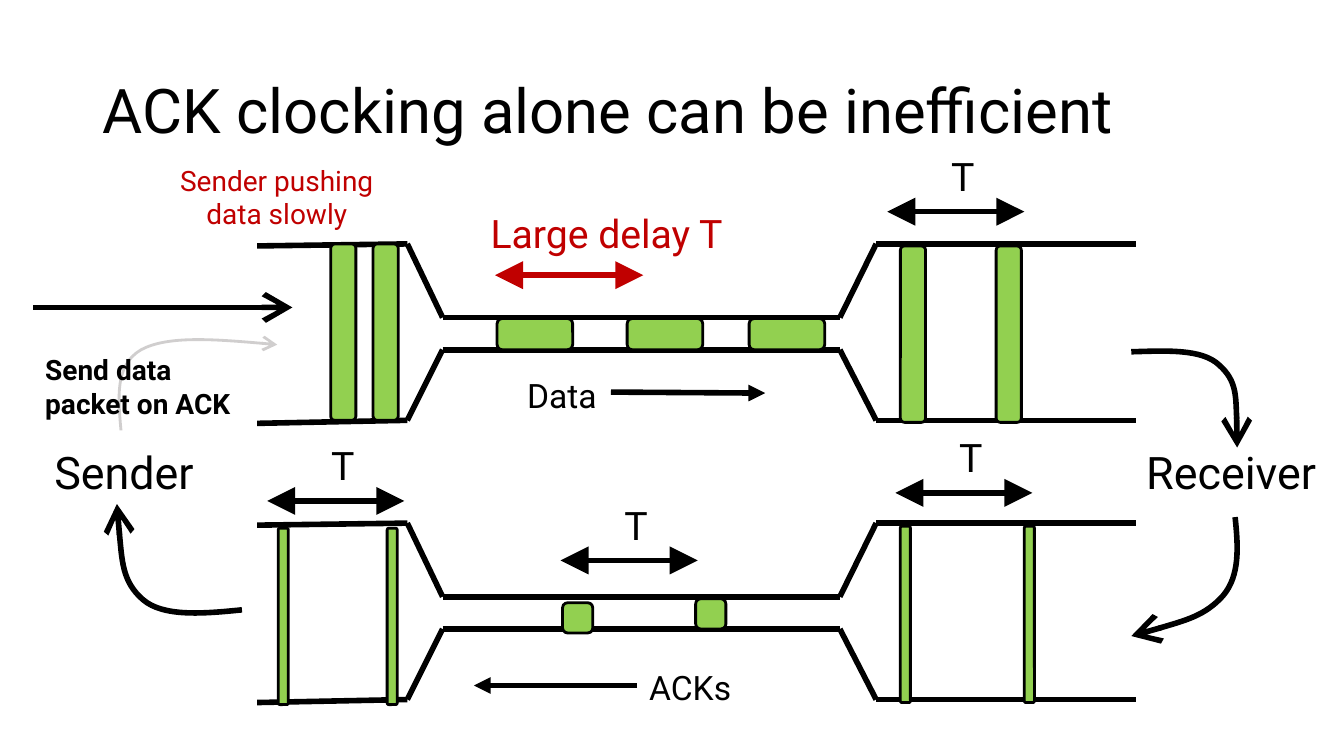
from dataclasses import dataclass

from lxml.etree import SubElement
from pptx import Presentation
from pptx.dml.color import RGBColor
from pptx.enum.shapes import MSO_CONNECTOR, MSO_SHAPE
from pptx.enum.text import MSO_ANCHOR, MSO_AUTO_SIZE, PP_ALIGN
from pptx.oxml.ns import qn
from pptx.util import Inches, Pt


@dataclass(frozen=True)
class Theme:
    font: str = "Roboto"
    ink: str = "000000"
    red: str = "C00000"
    green: str = "92D050"
    gray: str = "D0CECE"
    title: int = 44
    host: int = 32
    mark: int = 28
    flow: int = 24
    note: int = 20
    thick: int = 4
    thin: int = 2


def put(item, values):
    for name, value in values.items():
        setattr(item, name, value)


class Board:
    """Draws on one slide; lengths are cells of a grid 133.3 wide, 75 high."""

    def __init__(self, deck, theme):
        self.theme = theme
        self.slide = deck.slides.add_slide(deck.slide_layouts[5])
        self.shapes = self.slide.shapes
        self.cell = deck.slide_height / 75

    def grid(self, *cells):
        return [round(c * self.cell) for c in cells]

    def letter(self, shape, words, size, color=None, bold=False,
               align=PP_ALIGN.LEFT, anchor=MSO_ANCHOR.TOP, space=1.0):
        frame = shape.text_frame
        frame.text = words
        put(frame, {"word_wrap": True, "vertical_anchor": anchor,
                    "auto_size": MSO_AUTO_SIZE.NONE})
        line = frame.paragraphs[0]
        put(line, {"alignment": align, "line_spacing": space})
        font = line.runs[0].font
        put(font, {"name": self.theme.font, "size": Pt(size), "bold": bold})
        font.color.rgb = RGBColor.from_string(color or self.theme.ink)

    def title(self, words, box):
        shape = self.shapes.title
        put(shape, dict(zip(("left", "top", "width", "height"), self.grid(*box))))
        self.letter(shape, words, self.theme.title,
                    anchor=MSO_ANCHOR.MIDDLE, space=0.9)

    def text(self, words, box, size, **style):
        self.letter(self.shapes.add_textbox(*self.grid(*box)), words, size, **style)

    def stroke(self, shape, color=None, width=None, head=None, tail=None, big="lg"):
        line = shape.line
        line.color.rgb = RGBColor.from_string(color or self.theme.ink)
        line.width = Pt(width or self.theme.thick)
        props = shape._element.spPr
        for tag, kind in (("a:headEnd", head), ("a:tailEnd", tail)):
            if kind:
                SubElement(props.find(qn("a:ln")), qn(tag), type=kind, w=big, len=big)

    def line(self, ends, **style):
        shape = self.shapes.add_connector(MSO_CONNECTOR.STRAIGHT, *self.grid(*ends))
        self.stroke(shape, **style)
        SubElement(shape._element.spPr, qn("a:effectLst"))

    def block(self, box):
        shape = self.shapes.add_shape(MSO_SHAPE.ROUNDED_RECTANGLE, *self.grid(*box))
        shape.shadow.inherit = False
        shape.fill.solid()
        shape.fill.fore_color.rgb = RGBColor.from_string(self.theme.green)
        self.stroke(shape, width=self.theme.thin)

    def curve(self, points, **style):
        start, *rest = [self.grid(*p) for p in points]
        pen = self.shapes.build_freeform(*start)
        pen.add_line_segments(rest, close=False)
        shape = pen.convert_to_shape()
        shape.shadow.inherit = False
        shape.fill.background()
        # Each three straight steps become one Bezier step
        steps = shape._element.xpath(".//a:lnTo")
        for i in range(0, len(steps), 3):
            bend = SubElement(steps[i].getparent(), qn("a:cubicBezTo"))
            for step in steps[i:i + 3]:
                bend.append(step[0])
                step.getparent().remove(step)
        self.stroke(shape, tail="arrow", **style)

    def pipe(self, down):
        for x1, y1, x2, y2 in (
                (40.4, 24.2, 43.9, 31.5), (40.4, 41.7, 43.9, 34.7),
                (86.9, 24.2, 83.3, 31.5), (86.9, 41.7, 83.3, 34.7),
                (43.9, 31.5, 83.3, 31.5), (43.9, 34.7, 83.3, 34.7),
                (86.9, 24.2, 112.7, 24.2), (86.9, 41.7, 112.7, 41.7),
                (25.5, 24.4, 40.4, 24.2), (25.5, 42, 40.4, 41.7)):
            self.line((x1, y1 + down, x2, y2 + down))

    def span(self, x, y):
        self.text("T", (x, y, 7.6, 5.7), self.theme.mark, align=PP_ALIGN.CENTER)
        self.line((x - 3.7, y + 6.4, x + 9.9, y + 6.4),
                  head="triangle", tail="triangle")


def main():
    deck = Presentation()
    put(deck, {"slide_width": Inches(13.33), "slide_height": Inches(7.5)})
    look = Theme()
    board = Board(deck, look)
    board.title("ACK clocking alone can be inefficient", (9.2, 4, 115, 14.5))

    # Data pipe above, ACK pipe below
    for down in (0, 27.7):
        board.pipe(down)

    # Data packets: tall in the wide ends, flat in the bottleneck
    for x, y in ((32.8, 24.2), (37, 24.2), (89.3, 24.4), (98.8, 24.4)):
        board.block((x, y, 2.5, 17.5))
    for x in (49.3, 62.2, 74.3):
        board.block((x, 31.6, 7.5, 3.1))

    # ACK packets
    for x, y in ((27.6, 52.4), (38.4, 52.4), (89.3, 52.2), (101.6, 52.2)):
        board.block((x, y, 1, 17.5))
    for x, y in ((55.8, 59.8), (69, 59.4)):
        board.block((x, y, 3, 3))

    # Hosts and the loop between them
    board.text("Sender", (4.4, 43.6, 18.5, 6.4), look.host)
    board.text("Receiver", (112.7, 43.6, 20.1, 6.4), look.host)
    board.line((3.3, 30.5, 29, 30.5), tail="arrow")
    board.curve(((112.2, 34.9), (115.7, 34.8), (119.2, 34.6), (120.9, 36.2),
                 (122.7, 37.8), (122.7, 41.1), (122.7, 44.4)))
    board.curve(((122.5, 51.3), (122.8, 54.2), (123, 57.1), (121.3, 59.1),
                 (119.5, 61.1), (115.9, 62.1), (112.2, 63.1)))
    board.curve(((24, 60.5), (20.1, 60.9), (16.2, 61.2), (14.2, 59.5),
                 (12.1, 57.7), (11.9, 53.8), (11.6, 50)))
    board.curve(((12, 42.7), (11.7, 39.4), (11.4, 36.2), (14, 34.7),
                 (16.6, 33.3), (22, 33.7), (27.5, 34.2)),
                color=look.gray, width=look.thin)

    # Flow directions
    board.text("Data", (51.3, 36.7, 28.4, 5), look.flow)
    board.line((60.6, 38.9, 75.9, 39), tail="triangle", big="med")
    board.text("ACKs", (63.4, 65.7, 11.2, 5), look.flow)
    board.line((63.2, 68, 47, 68), tail="triangle", big="med")

    # Delays
    for x, y in ((91.7, 14.6), (92.5, 42.5), (59.3, 49.2), (30.2, 43.3)):
        board.span(x, y)
    board.text("Large delay T", (44.2, 20.3, 31.9, 5.7), look.mark,
               color=look.red, align=PP_ALIGN.CENTER)
    board.line((49.1, 27.3, 63.8, 27.3), color=look.red,
               head="triangle", tail="triangle")

    # Notes at the sender
    board.text("Send data packet on ACK", (3.5, 34.5, 21.8, 7.7),
               look.note, bold=True)
    board.text("Sender pushing data slowly", (16, 15.7, 22.9, 7.7),
               look.note, color=look.red, align=PP_ALIGN.CENTER)

    deck.save("out.pptx")


if __name__ == "__main__":
    main()
